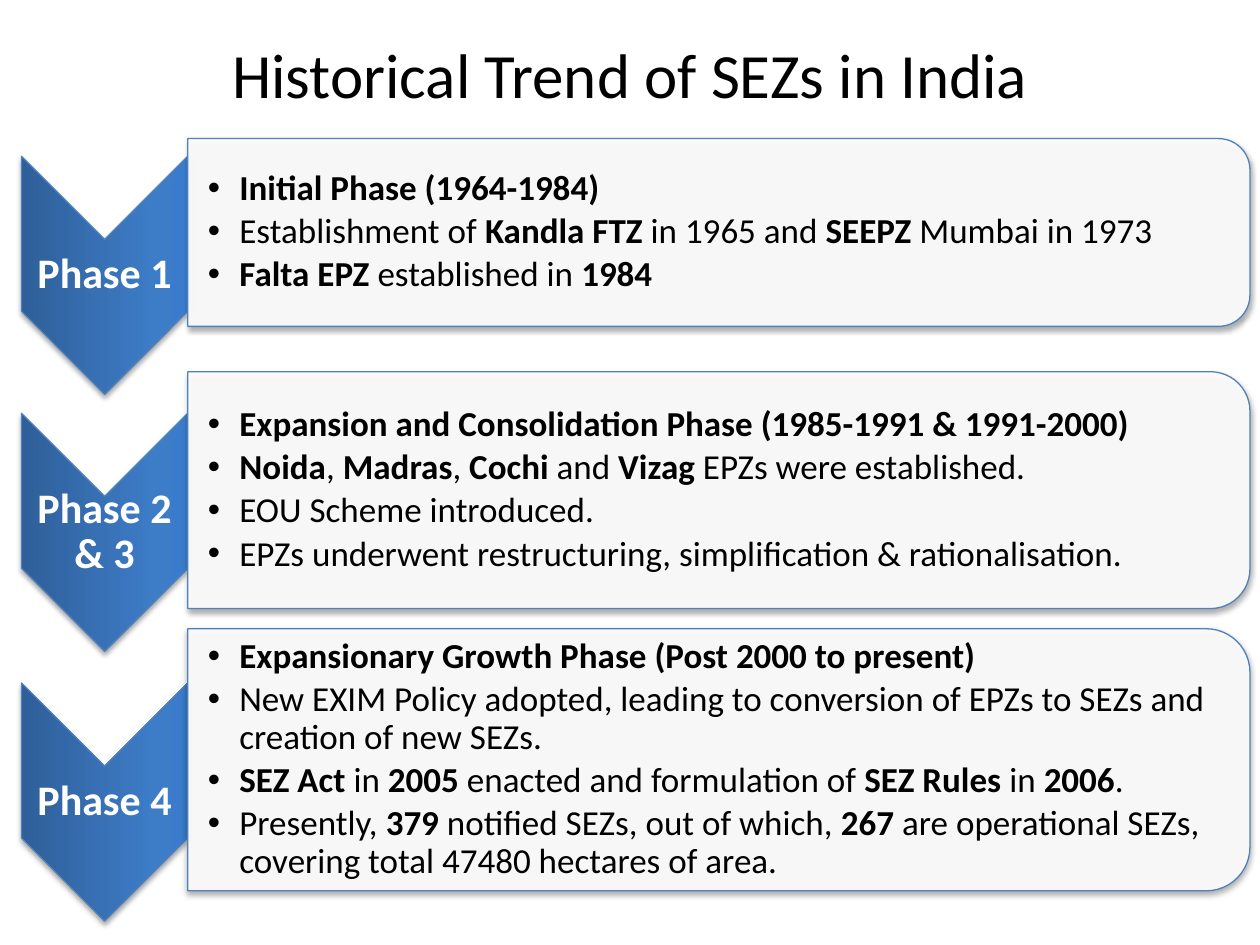
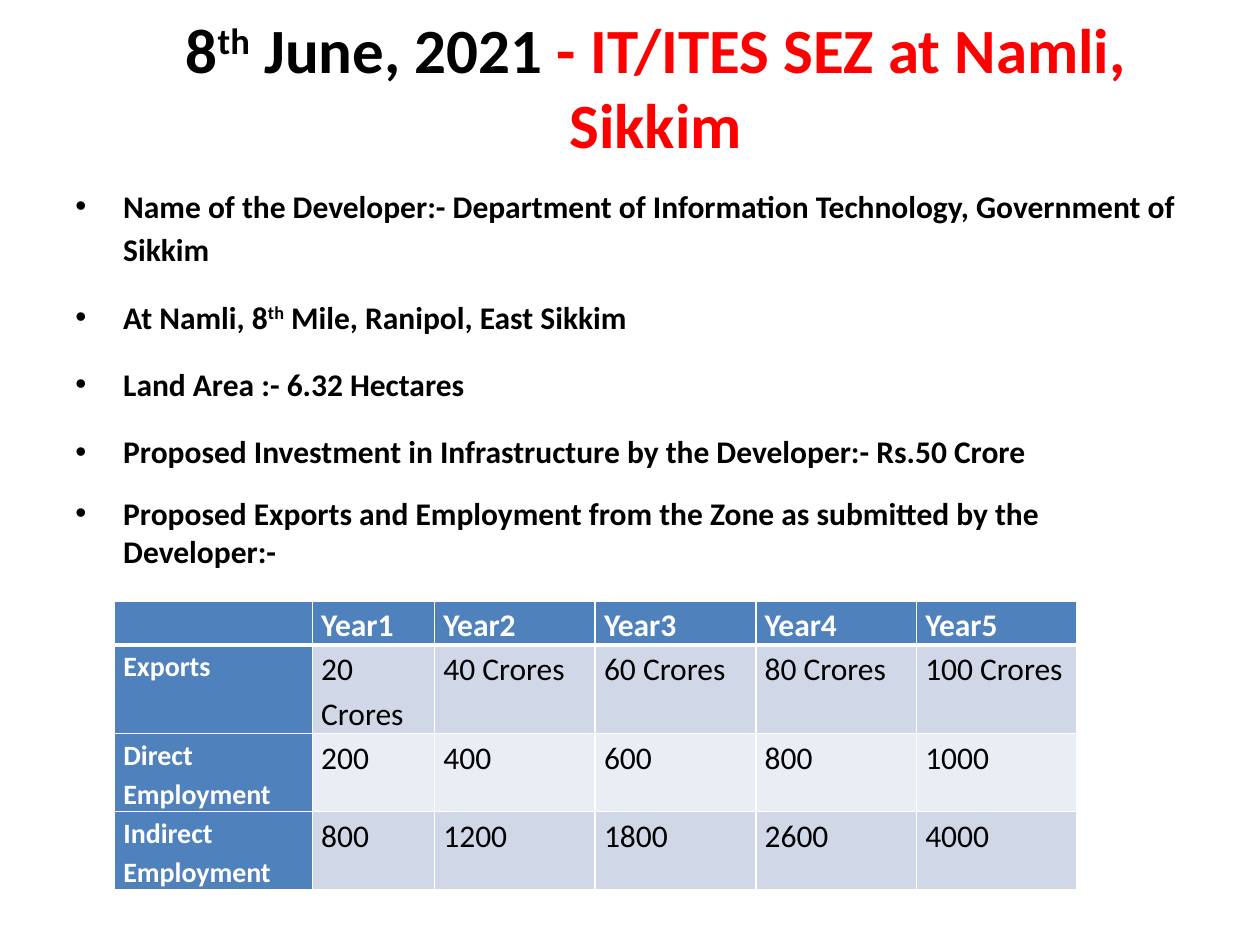
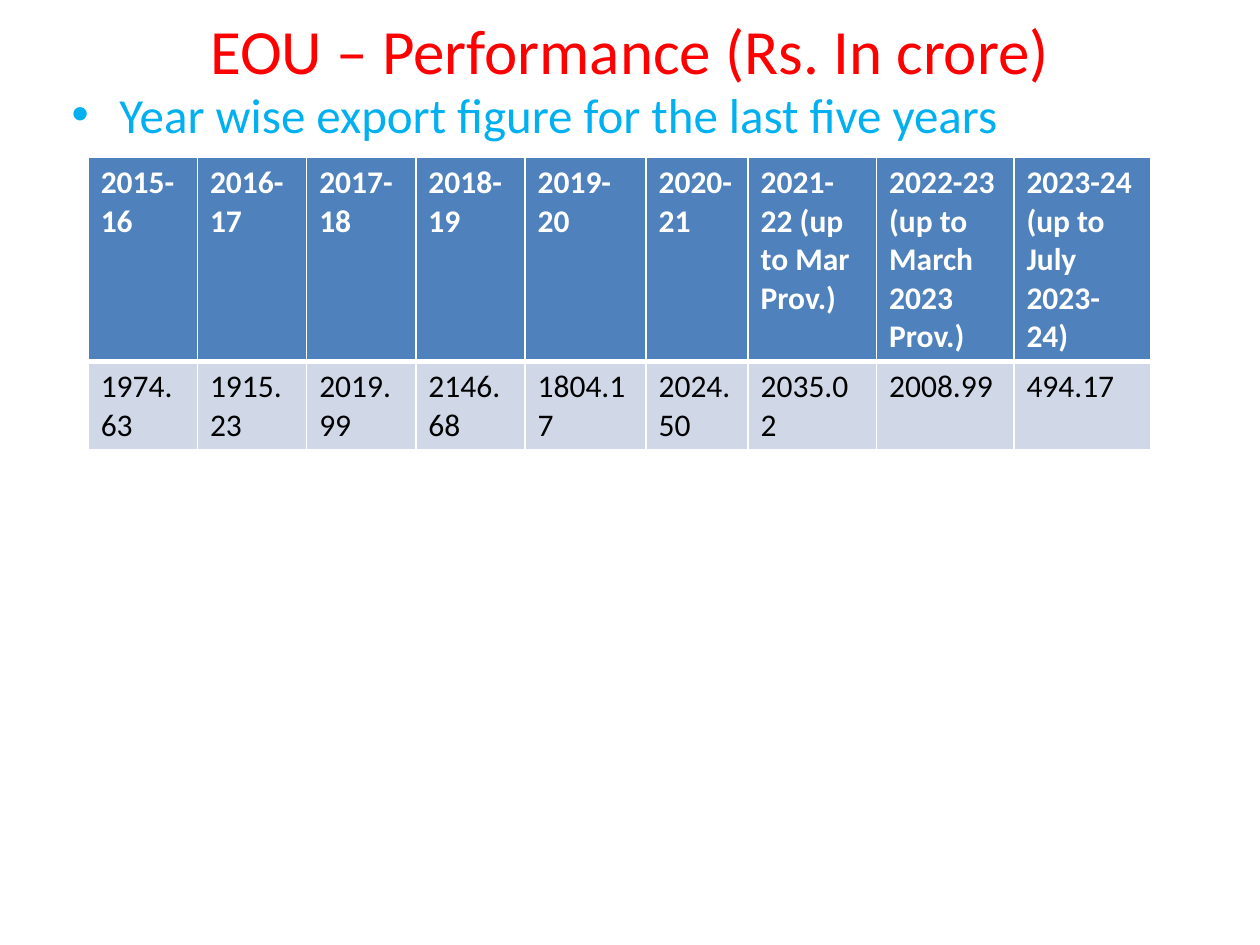
from copy import deepcopy
from dataclasses import dataclass

from lxml import etree
from pptx import Presentation
from pptx import util as u
from pptx.dml.color import RGBColor
from pptx.enum import shapes, text
from pptx.oxml.ns import qn


@dataclass(frozen=True)
class Theme:
    font: str = "Calibri"
    black: str = "000000"
    white: str = "FFFFFF"
    red: str = "FF0000"
    sky: str = "00B0F0"
    blue: str = "4F81BD"
    bands: tuple = ("D0D8E8", "E9EDF4")
    gradient: tuple = ((0, "2F5F99"), (0.8, "3D7CC7"), (1, "3A7CCB"))
    title_size: int = 36
    heading_size: int = 28
    label_size: int = 24
    panel_size: int = 20
    body_size: int = 18
    row_label_size: int = 16


THEME = Theme()
COLUMNS, ROWS = 100, 75
CENTER = text.PP_ALIGN.CENTER
MIDDLE = text.MSO_ANCHOR.MIDDLE


def add_xml(parent, tag, **attributes):
    values = {name: str(value) for name, value in attributes.items()}
    return etree.SubElement(parent, qn(tag), values)


class Deck:
    """Holds the style and the current slide; boxes are in grid columns and rows."""

    def __init__(self, theme):
        self.theme = theme
        self.presentation = Presentation()
        self.presentation.slide_width = u.Inches(10)
        self.presentation.slide_height = u.Inches(7.5)
        self.column = self.presentation.slide_width / COLUMNS
        self.row = self.presentation.slide_height / ROWS
        self.slide = None

    def new_slide(self):
        self.slide = self.presentation.slides.add_slide(self.presentation.slide_layouts[6])

    def place(self, box):
        left, top, width, height = box
        return (round(left * self.column), round(top * self.row),
                round(width * self.column), round(height * self.row))

    # Text
    def set_font(self, paragraph, size, color, bold=False):
        paragraph.font.name = self.theme.font
        paragraph.font.size = u.Pt(size)
        paragraph.font.bold = bold
        paragraph.font.color.rgb = RGBColor.from_string(color)

    def add_run(self, paragraph, piece):
        """A piece is plain text, or a pair of text and "bold", "super" or a colour."""
        words, style = (piece, None) if isinstance(piece, str) else piece
        run = paragraph.add_run()
        run.text = words
        if style == "bold":
            run.font.bold = True
        elif style == "super":
            run.font._element.set("baseline", "30000")
        elif style:
            run.font.color.rgb = RGBColor.from_string(style)

    def add_bullet(self, paragraph, indent):
        properties = paragraph._p.get_or_add_pPr()
        properties.set("marL", str(u.Inches(indent)))
        properties.set("indent", str(-u.Inches(indent)))
        add_xml(properties, "a:buFont", typeface="Arial")
        add_xml(properties, "a:buChar", char="•")

    def text(self, box, paragraphs, size, color=THEME.black, bold=False, align=None,
             anchor=text.MSO_ANCHOR.TOP, insets=(0.1, 0.05, 0.1, 0.05),
             bullet=None, spacing=1, before=0, after=0):
        frame = self.slide.shapes.add_textbox(*self.place(box)).text_frame
        frame.word_wrap = True
        frame.vertical_anchor = anchor
        (frame.margin_left, frame.margin_top,
         frame.margin_right, frame.margin_bottom) = map(u.Inches, insets)
        for index, pieces in enumerate(paragraphs):
            paragraph = frame.add_paragraph() if index else frame.paragraphs[0]
            if bullet:
                self.add_bullet(paragraph, bullet)
            paragraph.alignment = align
            paragraph.line_spacing = spacing
            paragraph.space_before = u.Pt(before if index else 0)
            paragraph.space_after = u.Pt(after)
            self.set_font(paragraph, size, color, bold)
            for piece in pieces:
                self.add_run(paragraph, piece)
        return frame

    def title(self, box, pieces, color=THEME.black, bold=False):
        self.text(box, [pieces], self.theme.title_size, color, bold, CENTER, MIDDLE)

    # Shapes
    def turned_shape(self, kind, box):
        """Adds a shape turned a quarter clockwise that covers the given box."""
        left, top, width, height = self.place(box)
        shift = (width - height) // 2
        shape = self.slide.shapes.add_shape(kind, left + shift, top - shift, height, width)
        shape.rotation = 90
        shape.line.color.rgb = RGBColor.from_string(self.theme.blue)
        shape.line.width = u.Pt(0.75)
        shape.shadow.inherit = False
        effects = shape._element.spPr.find(qn("a:effectLst"))
        shadow = add_xml(effects, "a:outerShdw", blurRad=u.Pt(3.1), dist=u.Pt(1.8),
                         dir=5400000, rotWithShape=0)
        color = add_xml(shadow, "a:srgbClr", val=self.theme.black)
        add_xml(color, "a:alpha", val=35000)
        return shape

    def chevron(self, box, label):
        left, top, width, _ = box
        shape = self.turned_shape(shapes.MSO_SHAPE.CHEVRON, box)
        shape.fill.gradient()
        shape.fill.gradient_angle = 90
        stops = shape._element.spPr.find(".//" + qn("a:gsLst"))
        stops.append(deepcopy(stops[-1]))
        for stop, (position, color) in zip(shape.fill.gradient_stops, self.theme.gradient):
            stop.position = position
            stop.color.rgb = RGBColor.from_string(color)
        self.text((left, top + width / 2, width, 5.7), [[label]], self.theme.label_size,
                  self.theme.white, True, CENTER, MIDDLE, (0.02,) * 4, spacing=0.9)

    def panel(self, box, paragraphs):
        left, top, width, height = box
        shape = self.turned_shape(shapes.MSO_SHAPE.ROUND_2_SAME_RECTANGLE, box)
        shape.fill.solid()
        shape.fill.fore_color.rgb = RGBColor.from_string(self.theme.white)
        fill_color = shape._element.spPr.find(qn("a:solidFill"))[0]
        add_xml(fill_color, "a:alpha", val=90000)
        corner = height * 0.05
        self.text((left, top + corner, width - corner, height - 2 * corner), paragraphs,
                  self.theme.panel_size, anchor=MIDDLE, insets=(0.16, 0.01, 0.01, 0.01),
                  bullet=0.25, spacing=0.9, after=3)

    # Table
    def cell_borders(self, cell, row_index):
        properties = cell._tc.get_or_add_tcPr()
        widths = {"L": 1, "R": 1, "T": 3 if row_index == 1 else 1, "B": 1 if row_index else 3}
        for side, width in widths.items():
            line = add_xml(properties, f"a:ln{side}", w=u.Pt(width))
            add_xml(add_xml(line, "a:solidFill"), "a:srgbClr", val=self.theme.white)

    def table(self, corner, widths, heights, rows, insets=(0.1, 0.05), spacing=1,
              row_labels=False):
        box = (*corner, sum(widths), sum(heights))
        table = self.slide.shapes.add_table(len(rows), len(widths), *self.place(box)).table
        table.first_row = table.horz_banding = False
        for column, width in zip(table.columns, widths):
            column.width = round(width * self.column)
        for row, height in zip(table.rows, heights):
            row.height = round(height * self.row)
        for r, values in enumerate(rows):
            for c, value in enumerate(values):
                cell = table.cell(r, c)
                is_label = row_labels and r > 0 and c == 0
                is_strong = r == 0 or is_label
                self.cell_borders(cell, r)
                cell.fill.solid()
                fill = self.theme.blue if is_strong else self.theme.bands[(r - 1) % 2]
                cell.fill.fore_color.rgb = RGBColor.from_string(fill)
                cell.margin_left = cell.margin_right = u.Inches(insets[0])
                cell.margin_top = cell.margin_bottom = u.Inches(insets[1])
                cell.text = value
                for paragraph in cell.text_frame.paragraphs:
                    paragraph.line_spacing = spacing
                    size = self.theme.row_label_size if is_label else self.theme.body_size
                    color = self.theme.white if is_strong else self.theme.black
                    self.set_font(paragraph, size, color, is_strong)


# Each phase: label, chevron top, panel top, panel height, bullets
PHASES = [
    ("Phase 1", 12.4, 11, 14.9, [
        [("Initial Phase (1964-1984)", "bold")],
        ["Establishment of ", ("Kandla FTZ ", "bold"), "in 1965 and ", ("SEEPZ", "bold"),
         " Mumbai in 1973"],
        [("Falta EPZ ", "bold"), "established in ", ("1984", "bold")],
    ]),
    ("Phase 2 & 3", 32.8, 29.5, 18.8, [
        [("Expansion and Consolidation Phase (1985-1991 & 1991-2000)", "bold")],
        [("Noida", "bold"), ", ", ("Madras", "bold"), ", ", ("Cochi", "bold"), " and ",
         ("Vizag", "bold"), " EPZs were established."],
        ["EOU Scheme introduced."],
        ["EPZs underwent restructuring, simplification & rationalisation."],
    ]),
    ("Phase 4", 54.2, 49.9, 20.8, [
        [("Expansionary Growth Phase (Post 2000 to present)", "bold")],
        ["New EXIM Policy adopted, leading to conversion of EPZs to SEZs and creation "
         "of new SEZs."],
        [("SEZ Act ", "bold"), "in ", ("2005", "bold"), " enacted and formulation of ",
         ("SEZ Rules ", "bold"), "in ", ("2006", "bold"), "."],
        ["Presently, ", ("379", "bold"), " notified SEZs, out of which, ", ("267", "bold"),
         " are operational SEZs, covering total 47480 hectares of area."],
    ]),
]

SEZ_FACTS = [
    ["Name of the Developer:- Department of Information Technology, Government of Sikkim"],
    ["At Namli, 8", ("th", "super"), " Mile, Ranipol, East Sikkim"],
    ["Land Area :- 6.32 Hectares"],
    ["Proposed Investment in Infrastructure by the Developer:- Rs.50 Crore"],
    ["Proposed Exports and Employment from the Zone as submitted by the Developer:-"],
]

SEZ_PROJECTIONS = [
    ["", *(f"Year{year}" for year in range(1, 6))],
    ["Exports", *(f"{crores} Crores" for crores in range(20, 101, 20))],
    ["Direct Employment", "200", "400", "600", "800", "1000"],
    ["Indirect Employment", "800", "1200", "1800", "2600", "4000"],
]

EOU_EXPORTS = [
    [*(f"20{year}-{year + 1}" for year in range(15, 21)), "2021-22 (up to Mar Prov.)",
     "2022-23\n(up to March 2023 Prov.)", "2023-24\n(up to July 2023-24)"],
    ["1974.63", "1915.23", "2019.99", "2146.68", "1804.17", "2024.50", "2035.02",
     "2008.99", "494.17"],
]


def history_slide(deck):
    deck.new_slide()
    deck.title((5, 1.7, 90, 8.3), ["Historical Trend of SEZs in India"])
    for label, chevron_top, panel_top, panel_height, bullets in PHASES:
        deck.chevron((1.7, chevron_top, 13.2, 18.9), label)
        deck.panel((14.9, panel_top, 84.3, panel_height), bullets)


def sikkim_slide(deck):
    deck.new_slide()
    deck.title((9.1, 1.3, 85.9, 11), ["8", ("th", "super"), " June, 2021",
               (" - IT/ITES SEZ at Namli, Sikkim", deck.theme.red)], bold=True)
    facts = deck.text((5, 13.9, 90, 58.1), SEZ_FACTS, deck.theme.body_size, bold=True,
                      bullet=0.38, spacing=1.15, before=3.6, after=10)
    facts.paragraphs[-1].line_spacing = 1
    deck.table((9.1, 47.7), [15.7, 9.7] + [12.75] * 4, [3.5, 7, 6.2, 6.2], SEZ_PROJECTIONS,
               insets=(0.07, 0), spacing=1.15, row_labels=True)


def eou_slide(deck):
    deck.new_slide()
    deck.title((5, 1.6, 90, 4.7), ["EOU – Performance (Rs. In crore)"], deck.theme.red)
    deck.text((4.7, 6.2, 90, 66.4), [["Year wise export figure for the last five years"]],
              deck.theme.heading_size, deck.theme.sky, bullet=0.38)
    deck.table((7, 12.5), [8.67] * 4 + [9.6, 8.1, 10.2, 10.9, 10.9], [16.2, 7], EOU_EXPORTS)


def main():
    deck = Deck(THEME)
    history_slide(deck)
    sikkim_slide(deck)
    eou_slide(deck)
    deck.presentation.save("out.pptx")


if __name__ == "__main__":
    main()
